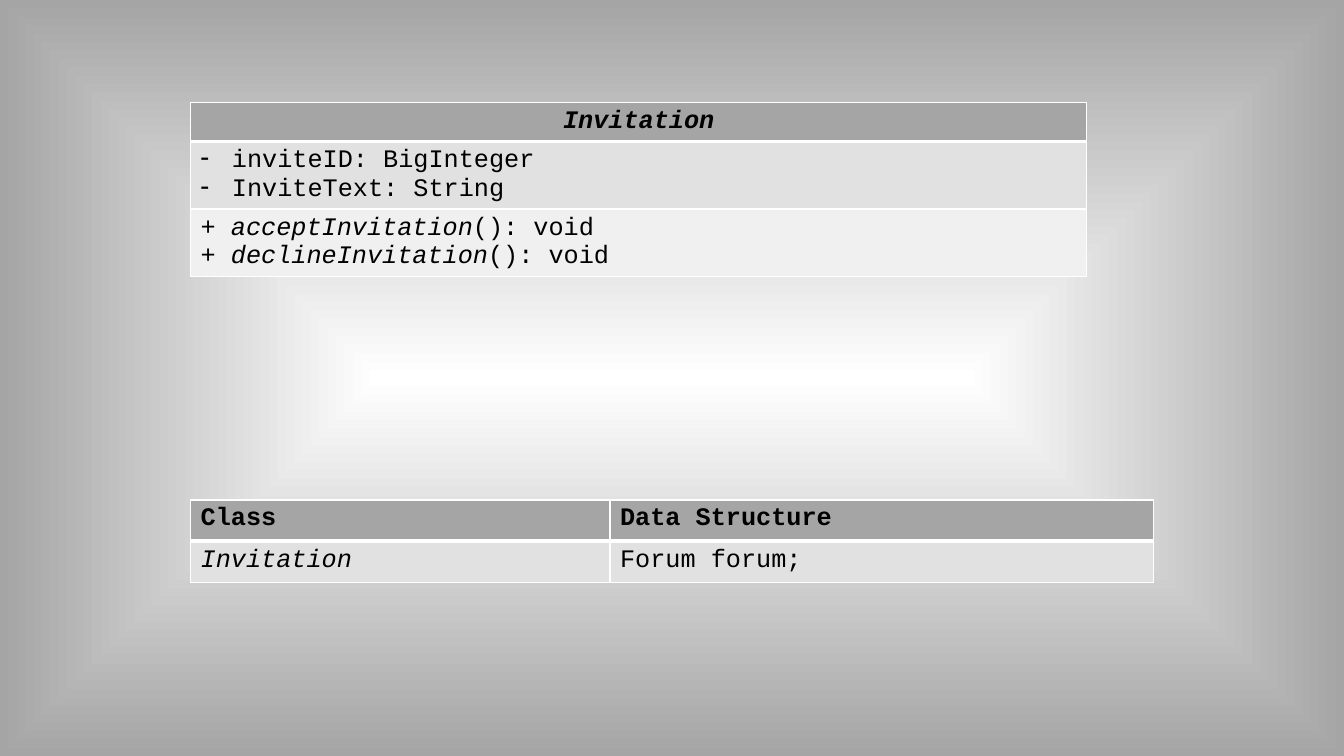
from pptx import Presentation
from pptx.dml.color import RGBColor
from pptx.enum.text import PP_ALIGN
from pptx.oxml.ns import qn
from pptx.oxml.xmlchemy import OxmlElement
from pptx.util import Inches, Pt

COLORS = {
    "text": "000000",
    "line": "FFFFFF",
    "header": "A5A5A5",
    "band": "E1E1E1",
    "light": "F0F0F0",
    "center": "FFFFFF",
    "edge": "A5A5A5",
}
ROW_FILLS = ["header", "band", "light"]
FONT = "Courier New"
LEFT = 1.89


def color(name):
    return RGBColor.from_string(COLORS[name])


def add_child(parent, tag, **attributes):
    child = OxmlElement(tag)
    for name, value in attributes.items():
        child.set(name, str(value))
    parent.append(child)
    return child


def set_background(slide):
    fill = slide.background.fill
    fill.gradient()
    for stop, name, position in zip(fill.gradient_stops, ["center", "edge"], [0, 1]):
        stop.color.rgb = color(name)
        stop.position = position
    gradient = slide.element.find(".//" + qn("a:gradFill"))
    gradient.remove(gradient.find(qn("a:lin")))
    rectangle = add_child(gradient, "a:path", path="rect")
    add_child(rectangle, "a:fillToRect", l=50000, t=50000, r=50000, b=50000)


def set_borders(cell, row_index):
    widths = {"L": 1, "R": 1, "T": 3 if row_index == 1 else 1, "B": 3 if row_index == 0 else 1}
    properties = cell._tc.get_or_add_tcPr()
    for position, (side, width) in enumerate(widths.items()):
        border = OxmlElement("a:ln" + side)
        border.set("w", str(Pt(width)))
        solid = add_child(border, "a:solidFill")
        add_child(solid, "a:srgbClr", val=COLORS["line"])
        properties.insert(position, border)


def set_bullet(paragraph):
    properties = paragraph._p.get_or_add_pPr()
    indent = Inches(0.31)
    properties.set("marL", str(indent))
    properties.set("indent", str(-indent))
    add_child(properties, "a:buFontTx")
    add_child(properties, "a:buChar", char="-")


def write_lines(cell, lines, bold=False, bullets=False, align=None):
    frame = cell.text_frame
    for index, runs in enumerate(lines):
        paragraph = frame.add_paragraph() if index else frame.paragraphs[0]
        if bullets:
            set_bullet(paragraph)
        if align is not None:
            paragraph.alignment = align
        for text, italic in runs:
            run = paragraph.add_run()
            run.text = text
            run.font.name = FONT
            run.font.size = Pt(18)
            run.font.bold = bold
            run.font.italic = italic
            run.font.color.rgb = color("text")


def add_grid(slide, top, widths, heights):
    frame = slide.shapes.add_table(
        len(heights), len(widths), Inches(LEFT), Inches(top),
        Inches(sum(widths)), Inches(sum(heights)))
    table = frame.table
    for column, width in zip(table.columns, widths):
        column.width = Inches(width)
    for row_index, (row, height) in enumerate(zip(table.rows, heights)):
        row.height = Inches(height)
        for cell in row.cells:
            cell.fill.solid()
            cell.fill.fore_color.rgb = color(ROW_FILLS[row_index])
            set_borders(cell, row_index)
    return table


def add_structure_table(slide):
    table = add_grid(slide, 4.96, [4.16, 5.39], [0.41, 0.41])
    for column, heading in enumerate(["Class", "Data Structure"]):
        write_lines(table.cell(0, column), [[(heading, False)]], bold=True)
    write_lines(table.cell(1, 0), [[("Invitation", True)]])
    write_lines(table.cell(1, 1), [[("Forum forum;", False)]])


def add_class_table(slide):
    table = add_grid(slide, 1.02, [8.89], [0.38, 0.67, 0.67])
    attributes = ["inviteID: BigInteger", "InviteText: String"]
    methods = ["acceptInvitation", "declineInvitation"]
    write_lines(table.cell(0, 0), [[("Invitation", True)]], bold=True, align=PP_ALIGN.CENTER)
    write_lines(table.cell(1, 0), [[(text, False)] for text in attributes], bullets=True)
    write_lines(table.cell(2, 0), [
        [("+ ", False), (method, True), ("(): void", False)] for method in methods])


def main():
    presentation = Presentation()
    presentation.slide_width = Inches(13.33)
    presentation.slide_height = Inches(7.5)
    slide = presentation.slides.add_slide(presentation.slide_layouts[6])
    set_background(slide)
    add_structure_table(slide)
    add_class_table(slide)
    presentation.save("out.pptx")


if __name__ == "__main__":
    main()
